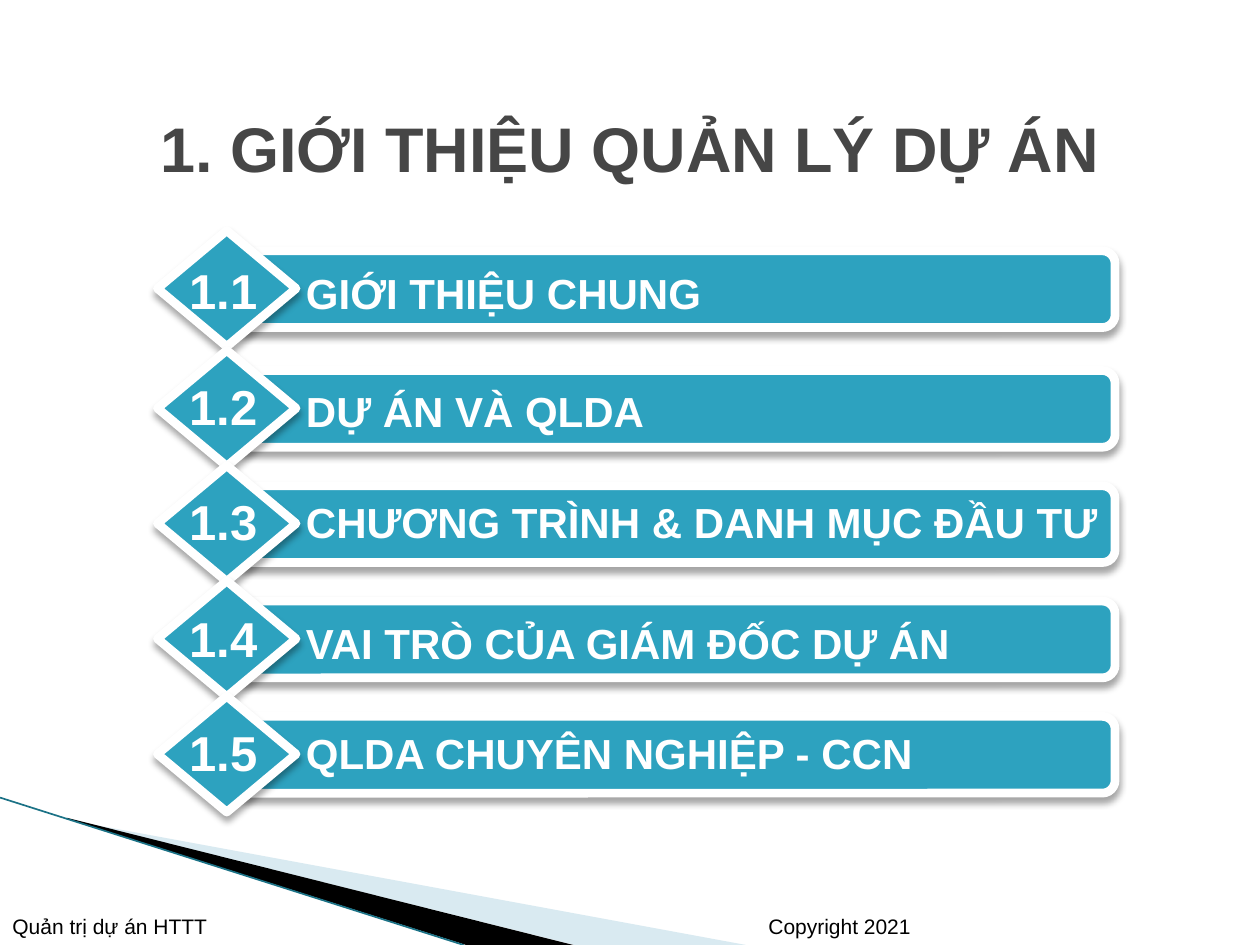
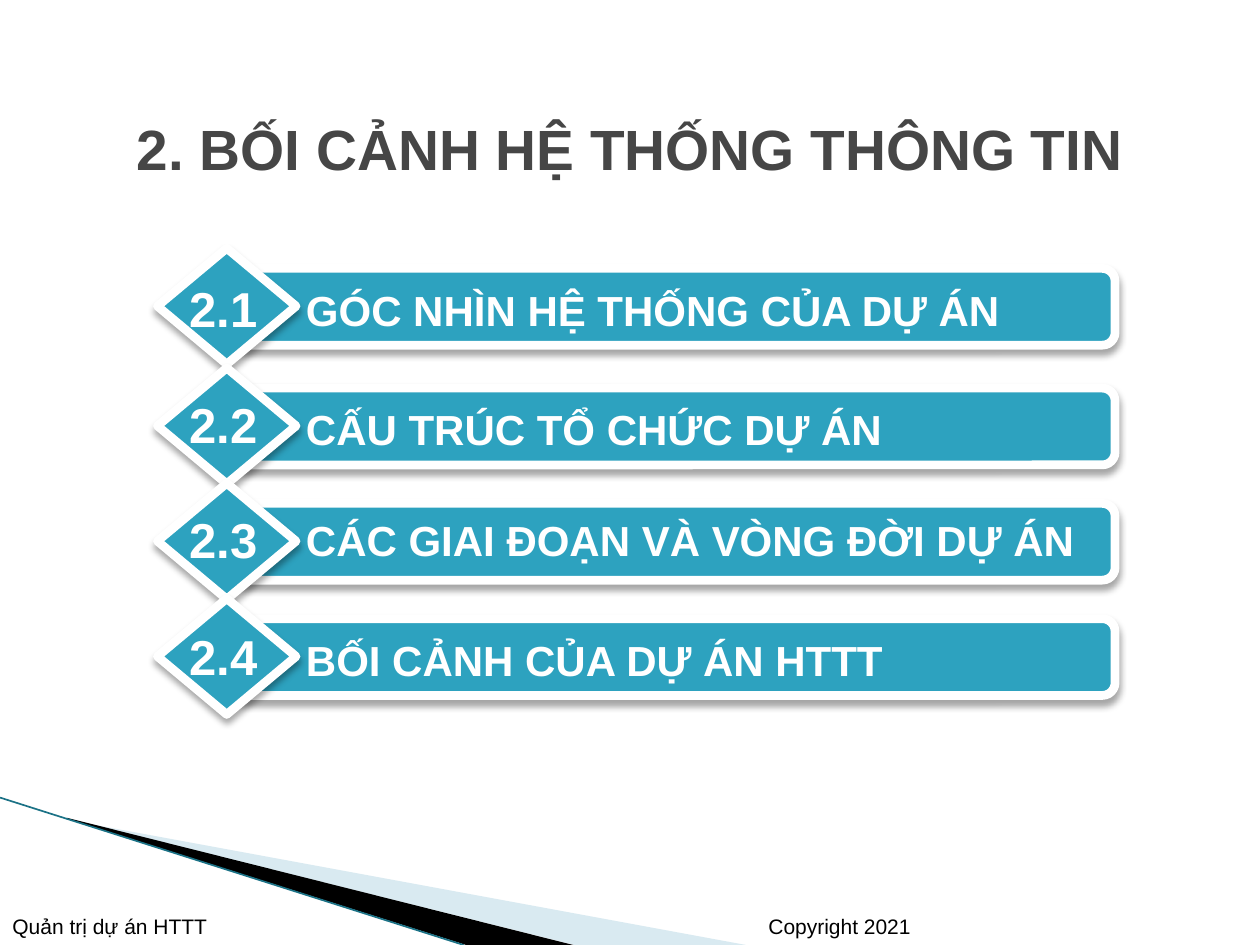
from dataclasses import dataclass
from typing import Any, NamedTuple

from lxml import etree
from pptx import Presentation
from pptx.dml.color import RGBColor
from pptx.enum.shapes import MSO_CONNECTOR, MSO_SHAPE
from pptx.enum.text import MSO_ANCHOR, MSO_AUTO_SIZE, PP_ALIGN
from pptx.oxml.ns import qn
from pptx.util import Inches, Pt

ROUNDED, DIAMOND = MSO_SHAPE.ROUNDED_RECTANGLE, MSO_SHAPE.DIAMOND
STRAIGHT = MSO_CONNECTOR.STRAIGHT
TOP, MIDDLE, BOTTOM = MSO_ANCHOR.TOP, MSO_ANCHOR.MIDDLE, MSO_ANCHOR.BOTTOM
LEFT, CENTER = PP_ALIGN.LEFT, PP_ALIGN.CENTER
GROW, FIXED = MSO_AUTO_SIZE.SHAPE_TO_FIT_TEXT, MSO_AUTO_SIZE.NONE

# Slide grid: 10 columns by 7.5 rows
WIDTH, HEIGHT = Inches(10), Inches(7.5)
COLUMNS, ROWS = 10, 7.5

# Shared colours
TEAL, WHITE, BLACK = "2DA2BF", "FFFFFF", "000000"
TITLE_GREY, PALE_BLUE, DARK_TEAL = "464646", "A0CBDC", "1B7286"


class Box(NamedTuple):
    left: float
    top: float
    width: float
    height: float


@dataclass(frozen=True)
class TextStyle:
    size: float
    colour: str
    bold: bool = True
    align: Any = LEFT
    anchor: Any = TOP
    wrap: bool = True
    fit: Any = FIXED


@dataclass(frozen=True)
class AgendaRow:
    label_width: float
    label_drop: float
    number_drop: float


@dataclass(frozen=True)
class Section:
    number: int
    title: str
    title_size: float
    first_top: float
    topics: tuple[str, ...]


FOOTER = TextStyle(12, BLACK, bold=False, anchor=BOTTOM)
LABEL = TextStyle(24, WHITE, fit=GROW)
NUMBER = TextStyle(28, WHITE, align=CENTER, wrap=False, fit=GROW)

FOOTERS = {
    "Copyright 2021": Box(6, 7.1, 1.75, 0.4),
    "Quản trị dự án HTTT": Box(0, 7.1, 2.58, 0.4),
}
TITLE_BOX = Box(0.75, 0.68, 8.5, 0.98)

# Agenda rows: the first pitch is a little wider than the rest
FIRST_PITCH, PITCH = 0.95, 0.915
BAR_DROP = 0.16
AGENDA_ROWS = (
    AgendaRow(6.61, 0.24, 0.19),
    AgendaRow(7.36, 0.23, 0.16),
    AgendaRow(6.74, 0.2, 0.16),
    AgendaRow(7.36, 0.24, 0.17),
    AgendaRow(7, 0.2, 0.16),
)

SECTIONS = (
    Section(1, "GIỚI THIỆU QUẢN LÝ DỰ ÁN", 36, 1.83, (
        "GIỚI THIỆU CHUNG",
        "DỰ ÁN VÀ QLDA",
        "CHƯƠNG TRÌNH & DANH MỤC ĐẦU TƯ",
        "VAI TRÒ CỦA GIÁM ĐỐC DỰ ÁN",
        "QLDA CHUYÊN NGHIỆP - CCN",
    )),
    Section(2, "BỐI CẢNH HỆ THỐNG THÔNG TIN", 32.4, 1.97, (
        "GÓC NHÌN HỆ THỐNG CỦA DỰ ÁN",
        "CẤU TRÚC TỔ CHỨC DỰ ÁN",
        "CÁC GIAI ĐOẠN VÀ VÒNG ĐỜI DỰ ÁN",
        "BỐI CẢNH CỦA DỰ ÁN HTTT",
    )),
)


def rgb(colour: str) -> RGBColor:
    return RGBColor.from_string(colour)


def across(columns: float) -> int:
    return round(WIDTH * columns / COLUMNS)


def down(rows: float) -> int:
    return round(HEIGHT * rows / ROWS)


def place(box: Box) -> tuple[int, int, int, int]:
    return across(box.left), down(box.top), across(box.width), down(box.height)


def apply(target: Any, values: dict[str, Any]) -> None:
    for attribute, value in values.items():
        setattr(target, attribute, value)


def write(shapes: Any, text: str, box: Box, style: TextStyle) -> None:
    frame = shapes.add_textbox(*place(box)).text_frame
    apply(frame, {"word_wrap": style.wrap, "auto_size": style.fit,
                  "vertical_anchor": style.anchor})
    paragraph = frame.paragraphs[0]
    paragraph.alignment = style.align
    run = paragraph.add_run()
    run.text = text
    apply(run.font, {"name": "Arial", "size": Pt(style.size), "bold": style.bold})
    run.font.color.rgb = rgb(style.colour)


def add_alpha(parent: Any, percent: int) -> None:
    etree.SubElement(parent, qn("a:alpha"), val=str(percent * 1000))


def drop_shadow(shape: Any) -> None:
    shape.shadow.inherit = False
    effects = shape._element.spPr.find(qn("a:effectLst"))
    shadow = etree.SubElement(effects, qn("a:outerShdw"), blurRad=str(Pt(4)),
                              dist=str(Pt(3)), dir=str(90 * 60000), rotWithShape="0")
    add_alpha(etree.SubElement(shadow, qn("a:srgbClr"), val=BLACK), 35)


def panel(shapes: Any, kind: Any, box: Box) -> None:
    shape = shapes.add_shape(kind, *place(box))
    shape.fill.solid()
    shape.fill.fore_color.rgb = rgb(TEAL)
    shape.line.color.rgb = rgb(WHITE)
    shape.line.width = Pt(5)
    drop_shadow(shape)


def wedge(slide: Any, points: list[tuple[float, float]], colour: str,
          alpha: int = 100) -> None:
    start, *others = [(across(x), down(y)) for x, y in points]
    builder = slide.shapes.build_freeform(*start)
    builder.add_line_segments(others, close=True)
    shape = builder.convert_to_shape()
    shape.shadow.inherit = False
    shape.line.fill.background()
    shape.fill.solid()
    shape.fill.fore_color.rgb = rgb(colour)
    if alpha < 100:
        add_alpha(shape._element.spPr.find(qn("a:solidFill"))[0], alpha)


def draw_corner(slide: Any) -> None:
    wedge(slide, [(0.55, 6.51), (5.92, 7.5), (4.56, 7.5), (0.55, 6.5)], PALE_BLUE, 40)
    wedge(slide, [(0.53, 6.49), (4.55, 7.5), (3.7, 7.5), (0.54, 6.5)], BLACK)
    edge = slide.shapes.add_connector(STRAIGHT, across(0), down(6.33),
                                      across(3.68), down(7.5))
    edge.line.color.rgb = rgb(DARK_TEAL)
    edge.line.width = Pt(0.95)
    etree.SubElement(edge._element.spPr, qn("a:effectLst"))


def draw_topic(slide: Any, number: str, topic: str, top: float, row: AgendaRow) -> None:
    shapes = slide.shapes.add_group_shape().shapes
    panel(shapes, ROUNDED, Box(1.86, top + BAR_DROP, 6.99, 0.61))
    panel(shapes, DIAMOND, Box(1.25, top, 1.1, 0.92))
    write(shapes, topic, Box(2.33, top + row.label_drop, row.label_width, 0.51), LABEL)
    write(shapes, number, Box(1.4, top + row.number_drop, 0.75, 0.57), NUMBER)


def draw_section(slide: Any, section: Section) -> None:
    # Shared corner and footers
    draw_corner(slide)
    for text, box in FOOTERS.items():
        write(slide.shapes, text, box, FOOTER)
    # Title
    title_style = TextStyle(section.title_size, TITLE_GREY, align=CENTER, anchor=MIDDLE)
    write(slide.shapes, f"{section.number}. {section.title}", TITLE_BOX, title_style)
    # Agenda
    for index, (topic, row) in enumerate(zip(section.topics, AGENDA_ROWS)):
        drop = FIRST_PITCH + PITCH * (index - 1) if index else 0
        draw_topic(slide, f"{section.number}.{index + 1}", topic,
                   section.first_top + drop, row)


def main() -> None:
    deck = Presentation()
    apply(deck, {"slide_width": WIDTH, "slide_height": HEIGHT})
    blank = deck.slide_layouts[6]
    for section in SECTIONS:
        draw_section(deck.slides.add_slide(blank), section)
    deck.save("out.pptx")


if __name__ == "__main__":
    main()
